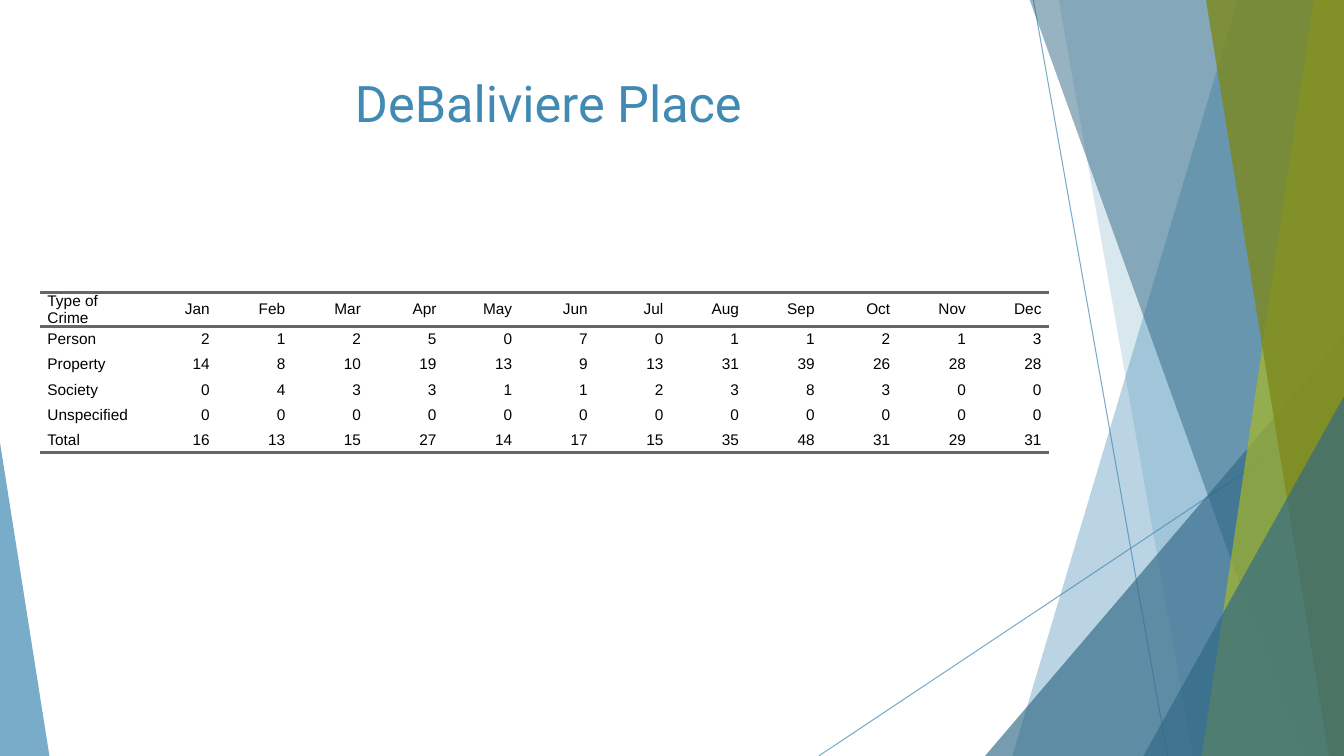
"""Build the DeBaliviere Place crime table slide."""
from lxml.etree import SubElement
from pptx import Presentation
from pptx.dml.color import RGBColor
from pptx.enum.shapes import MSO_CONNECTOR, MSO_SHAPE
from pptx.enum.text import MSO_ANCHOR, MSO_AUTO_SIZE, PP_ALIGN
from pptx.oxml.ns import qn
from pptx.util import Inches, Pt

TITLE = "DeBaliviere Place"
ROWS = [
    ("Type of Crime", "Jan", "Feb", "Mar", "Apr", "May", "Jun",
     "Jul", "Aug", "Sep", "Oct", "Nov", "Dec"),
    ("Person", 2, 1, 2, 5, 0, 7, 0, 1, 1, 2, 1, 3),
    ("Property", 14, 8, 10, 19, 13, 9, 13, 31, 39, 26, 28, 28),
    ("Society", 0, 4, 3, 3, 1, 1, 2, 3, 8, 3, 0, 0),
    ("Unspecified", 0, 0, 0, 0, 0, 0, 0, 0, 0, 0, 0, 0),
    ("Total", 16, 13, 15, 27, 14, 17, 15, 35, 48, 31, 29, 31),
]
COLORS = {"blue": "418AB3", "navy": "316886", "lime": "A6B727",
          "olive": "7D891D", "rule": "666666", "text": "000000"}
W, H, TOP = 13.33, 7.5, -0.01
LINES = [(10.25, 0, 11.58, H), (W, 4.03, 8.12, H)]
FACETS = [
    ("band", (12.28, 10.04), "blue", 36),
    ("band", (10.5, 11.83), "blue", 20),
    ("wedge", (9.77, 3.33, W - 9.77, H - 3.33, 1), "navy", 66),
    ("band", (10.21, 12.91), "navy", 50),
    ("band", (13.03, 11.92), "lime", 70),
    ("band", (11.96, 13.18), "olive", 80),
    ("wedge", (11.34, 3.93, W - 11.34, H - 3.93, 1), "navy", 66),
    ("wedge", (0, 4.39, 0.49, H - 4.39, 0), "blue", 70),
]
LEFT, HEAD = 0.4, 2.9
WIDE, COL, ROW = 1, 0.75, 0.25
PAD = Inches(0.07)
PLAIN = "{2D5ABB26-0587-4C30-8999-92F81FD0307C}"
CELL = {"margin_left": 0, "margin_right": 0, "margin_top": 0,
        "margin_bottom": 0, "vertical_anchor": MSO_ANCHOR.MIDDLE}
PARA = {"space_before": Pt(5), "space_after": Pt(5)}


def apply(item, form):
    for key, val in form.items():
        setattr(item, key, val)


def hue(name):
    return RGBColor.from_string(COLORS[name])


def style(font, face, size, color):
    apply(font, {"name": face, "size": Pt(size)})
    font.color.rgb = hue(color)


def fade(shape, share):
    for tag in shape._element.spPr.iter(qn("a:srgbClr")):
        SubElement(tag, qn("a:alpha"), val=str(share * 1000))


def add_line(slide, ends):
    line = slide.shapes.add_connector(
        MSO_CONNECTOR.STRAIGHT, *(Inches(n) for n in ends))
    line.line.color.rgb = hue("blue")
    line.line.width = Pt(0.75)
    fade(line, 70)
    SubElement(line._element.spPr, qn("a:effectLst"))


def add_facet(slide, kind, geo, color, share):
    if kind == "band":
        head, foot = geo
        pts = [(Inches(x), Inches(y)) for x, y in
               ((head, TOP), (W, TOP), (W, H), (foot, H))]
        pen = slide.shapes.build_freeform(*pts[0], scale=1.0)
        pen.add_line_segments(pts[1:], close=True)
        shape = pen.convert_to_shape()
    else:
        shape = slide.shapes.add_shape(
            MSO_SHAPE.ISOSCELES_TRIANGLE, *(Inches(n) for n in geo[:4]))
        shape.adjustments[0] = geo[4]
    shape.shadow.inherit = False
    shape.fill.solid()
    shape.fill.fore_color.rgb = hue(color)
    fade(shape, share)
    shape.line.fill.background()


def add_rule(cell, side):
    edge = SubElement(cell._tc.get_or_add_tcPr(), qn("a:" + side), w=str(Pt(2)))
    fill = SubElement(edge, qn("a:solidFill"))
    SubElement(fill, qn("a:srgbClr"), val=COLORS["rule"])


def fill_cell(cell, text, sides, align):
    apply(cell, CELL)
    for side in sides:
        add_rule(cell, side)
    cell.fill.background()
    para = cell.text_frame.paragraphs[0]
    para.text = str(text)
    apply(para, {**PARA, "alignment": align})
    apply_pad = para._p.get_or_add_pPr()
    for key, val in (("marL", PAD), ("marR", PAD), ("indent", 0)):
        apply_pad.set(key, str(val))
    style(para.runs[0].font, "Arial", 11, "text")


def add_grid(slide):
    count = len(ROWS[0])
    span = WIDE + COL * (count - 1)
    frame = slide.shapes.add_table(
        len(ROWS), count, Inches(LEFT), Inches(HEAD),
        Inches(span), Inches(ROW * len(ROWS)))
    table = frame.table
    apply(table, {"first_row": False, "horz_banding": False})
    table._tbl.tblPr.find(qn("a:tableStyleId")).text = PLAIN
    for c, col in enumerate(table.columns):
        col.width = Inches(COL if c else WIDE)
    rules = {0: ("lnT", "lnB"), len(ROWS) - 1: ("lnB",)}
    for r, row in enumerate(ROWS):
        for c, text in enumerate(row):
            align = PP_ALIGN.RIGHT if c else PP_ALIGN.LEFT
            fill_cell(table.cell(r, c), text, rules.get(r, ()), align)


def add_title(slide):
    title = slide.shapes.title
    apply(title, {"left": Inches(0.74), "top": Inches(0.67),
                  "width": Inches(9.4), "height": Inches(1.44)})
    apply(title.text_frame, {"text": TITLE, "word_wrap": True,
                             "auto_size": MSO_AUTO_SIZE.NONE,
                             "vertical_anchor": MSO_ANCHOR.TOP})
    para = title.text_frame.paragraphs[0]
    para.alignment = PP_ALIGN.CENTER
    style(para.runs[0].font, "Roboto", 36, "blue")


def main():
    deck = Presentation()
    apply(deck, {"slide_width": Inches(W), "slide_height": Inches(H)})
    slide = deck.slides.add_slide(deck.slide_layouts[5])
    for ends in LINES:
        add_line(slide, ends)
    for facet in FACETS:
        add_facet(slide, *facet)
    add_grid(slide)
    add_title(slide)
    deck.save("out.pptx")


if __name__ == "__main__":
    main()
